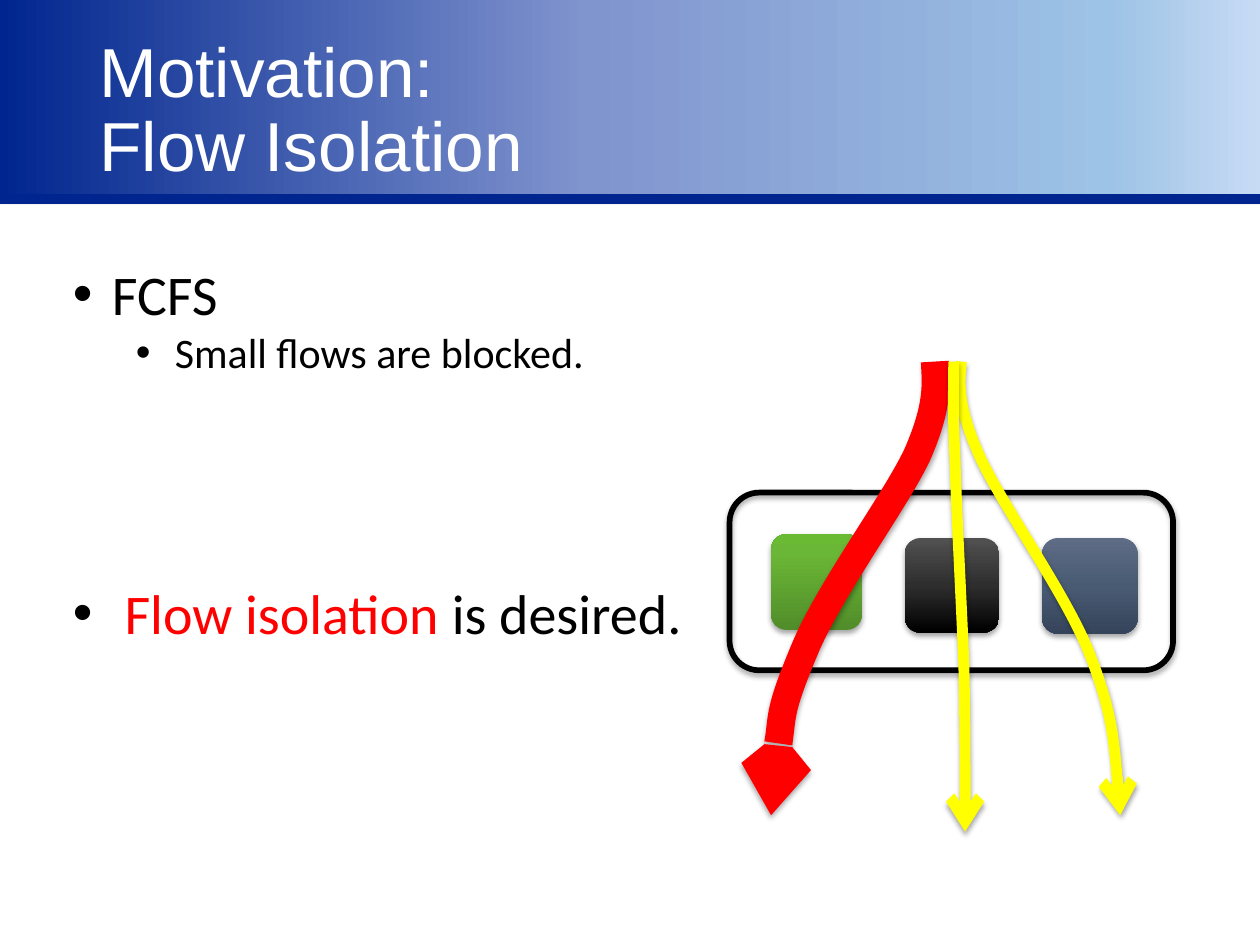
from lxml import etree
from pptx import Presentation
from pptx import util as u
from pptx.dml.color import RGBColor
from pptx.enum import shapes, text
from pptx.oxml import ns

CELL = 0.1
COLUMNS, ROWS = 100, 75
NAVY, RED, YELLOW, BLACK, WHITE = "00258E", "FF0000", "FFFF00", "000000", "FFFFFF"

BLOCKS = [
    ((13.9, 14, 7.5, 7.5), 90, [(0, "515151"), (50, "2E2E2E"), (100, BLACK)]),
    ((24.8, 14, 7.6, 7.6), 90, [(0, "5E6D85"), (50, "495A73"), (100, "35445A")]),
    ((3.3, 13.7, 7.2, 7.6), 270, [(0, "518D2A"), (80, "6AB636"), (100, "6ABA34")]),
]
FLOWS = [
    (RED, 16, "sm", [(16.3, 0), (16.4, 1.8), (16.6, 3.5), (14.9, 7.4), (13.1, 11.2),
                     (7.8, 18.3), (5.9, 23), (3.9, 27.8), (3.6, 31.9), (3.3, 36)]),
    (YELLOW, 6.25, "med", [(18.4, 0), (18.2, 1.8), (18.1, 3.5), (19.8, 7.4),
                           (21.5, 11.2), (26.6, 18.3), (28.5, 23), (30.4, 27.8),
                           (30.7, 31.9), (31, 36)]),
    (YELLOW, 6.25, "med", [(17.8, 0), (17.8, 1.8), (17.7, 3.7), (17.9, 7.7),
                           (18, 11.6), (18.4, 18.9), (18.6, 23.9), (18.7, 28.8),
                           (18.7, 33.1), (18.7, 37.3)]),
]
BULLETS = [
    (0, 3.1, 32, 0, [("FCFS", BLACK)]),
    (1, 8.1, 24, 0, [("Small flows are blocked.", BLACK)]),
    (0, 3.1, 32, 115, [(" Flow isolation ", RED), ("is desired.", BLACK)]),
]


def cells(*counts):
    """Turn grid counts into lengths."""
    return [u.Inches(count * CELL) for count in counts]


def within(box, part):
    """Move a part's box from region to page coordinates."""
    return cells(box[0] + part[0], box[1] + part[1], *part[2:])


def rgb(value):
    """Make a colour from a hex string."""
    return RGBColor.from_string(value)


def child(parent, name, **attributes):
    """Append a drawing element with the given attributes."""
    values = {key: str(value) for key, value in attributes.items()}
    return etree.SubElement(parent, ns.qn("a:" + name), values)


def set_shadow(shape, alpha=35, distance=1.8):
    """Give a shape a soft shadow falling straight down."""
    shape.shadow.inherit = False
    effects = shape.element.spPr.find(ns.qn("a:effectLst"))
    outer = child(effects, "outerShdw", blurRad=u.Pt(3.1), dist=u.Pt(distance),
                  dir=90 * 60000, rotWithShape=0)
    child(child(outer, "srgbClr", val=BLACK), "alpha", val=alpha * 1000)


def set_gradient(shape, angle, stops):
    """Fill a shape with a linear gradient."""
    shape.fill.gradient()
    gradient = shape.element.spPr.find(ns.qn("a:gradFill"))
    for part in list(gradient):
        gradient.remove(part)
    stop_list = child(gradient, "gsLst")
    for position, colour in stops:
        child(child(stop_list, "gs", pos=position * 1000), "srgbClr", val=colour)
    child(gradient, "lin", ang=angle * 60000, scaled=0)


def set_line(shape, colour, width):
    """Set line colour and width."""
    shape.line.color.rgb = rgb(colour)
    shape.line.width = u.Pt(width)


def style_span(span, name, size, colour):
    """Set the font of one run."""
    span.font.name = name
    span.font.size = u.Pt(size)
    span.font.color.rgb = rgb(colour)


def add_header(page, box):
    """Draw the gradient band, its rule and the title."""
    band = page.shapes.add_shape(shapes.MSO_SHAPE.RECTANGLE,
                                 *within(box, (-0.1, -1, 108.7, 16.5)))
    set_gradient(band, 0, [(0, NAVY), (43, "8094CE"), (81, "9DC3E6"), (100, "E7ECFF")])
    set_line(band, "3F6FC3", 0.75)
    set_shadow(band, 38, 1.6)
    rule = page.shapes.add_connector(shapes.MSO_CONNECTOR.STRAIGHT,
                                     *within(box, (-7.9, box[3])),
                                     *within(box, (105.6, box[3])))
    set_line(rule, NAVY, 6)
    child(rule.element.spPr, "effectLst")
    title = page.shapes.add_textbox(*within(box, (6.9, 2.4, 101.8, 13)))
    title.text_frame.word_wrap = True
    title.text_frame.vertical_anchor = text.MSO_ANCHOR.MIDDLE
    title.text_frame.text = "Motivation:\vFlow Isolation"
    para = title.text_frame.paragraphs[0]
    para.line_spacing = 0.9
    for span in para.runs:
        style_span(span, "Arial", 39.6, WHITE)


def add_bullets(page, box):
    """Write the bulleted text."""
    frame = page.shapes.add_textbox(*cells(*box)).text_frame
    frame.word_wrap = True
    for index, (level, margin, size, before, pieces) in enumerate(BULLETS):
        para = frame.add_paragraph() if index else frame.paragraphs[0]
        para.level = level
        para.space_before = u.Pt(before)
        properties = para._p.get_or_add_pPr()
        properties.set("marL", str(cells(margin)[0]))
        properties.set("indent", str(cells(-3.1)[0]))
        child(child(properties, "buClr"), "srgbClr", val=BLACK)
        child(properties, "buFont", typeface="Arial")
        child(properties, "buChar", char="•")
        for words, colour in pieces:
            span = para.add_run()
            span.text = words
            style_span(span, "Calibri", size, colour)


def bend(shape):
    """Turn each three straight segments of an outline into one cubic curve."""
    segments = list(shape.element.spPr.iter(ns.qn("a:lnTo")))
    outline = segments[0].getparent()
    for start in range(0, len(segments), 3):
        curve = child(outline, "cubicBezTo")
        for segment in segments[start:start + 3]:
            curve.append(segment[0])
            outline.remove(segment)


def add_flow(page, box, colour, width, head, knots):
    """Draw one curved flow ending in an arrowhead."""
    points = [within(box, knot) for knot in knots]
    builder = page.shapes.build_freeform(*points[0])
    builder.add_line_segments(points[1:], close=False)
    flow = builder.convert_to_shape()
    bend(flow)
    flow.fill.background()
    set_line(flow, colour, width)
    child(flow.element.spPr.get_or_add_ln(), "tailEnd", type="arrow", w=head, len=head)
    set_shadow(flow)


def add_switch(page, box):
    """Draw the switch with its blocks and the flows through it."""
    rounded = shapes.MSO_SHAPE.ROUNDED_RECTANGLE
    for part, angle, stops in BLOCKS:
        block = page.shapes.add_shape(rounded, *within(box, part))
        set_gradient(block, angle, stops)
        block.line.fill.background()
        set_shadow(block)
    frame = page.shapes.add_shape(rounded, *within(box, (0, 10.4, box[2], 14.1)))
    frame.fill.background()
    set_line(frame, BLACK, 3.25)
    set_shadow(frame)
    for flow in FLOWS:
        add_flow(page, box, *flow)


def main():
    """Build and save the deck."""
    deck = Presentation()
    deck.slide_width, deck.slide_height = cells(COLUMNS, ROWS)
    page = deck.slides.add_slide(deck.slide_layouts[6])
    add_header(page, (0, 0, COLUMNS, 15.8))
    add_switch(page, (57.9, 28.7, 35.2, 37.3))
    add_bullets(page, (4.8, 20.1, 51, 37.4))
    deck.save("out.pptx")


if __name__ == "__main__":
    main()
